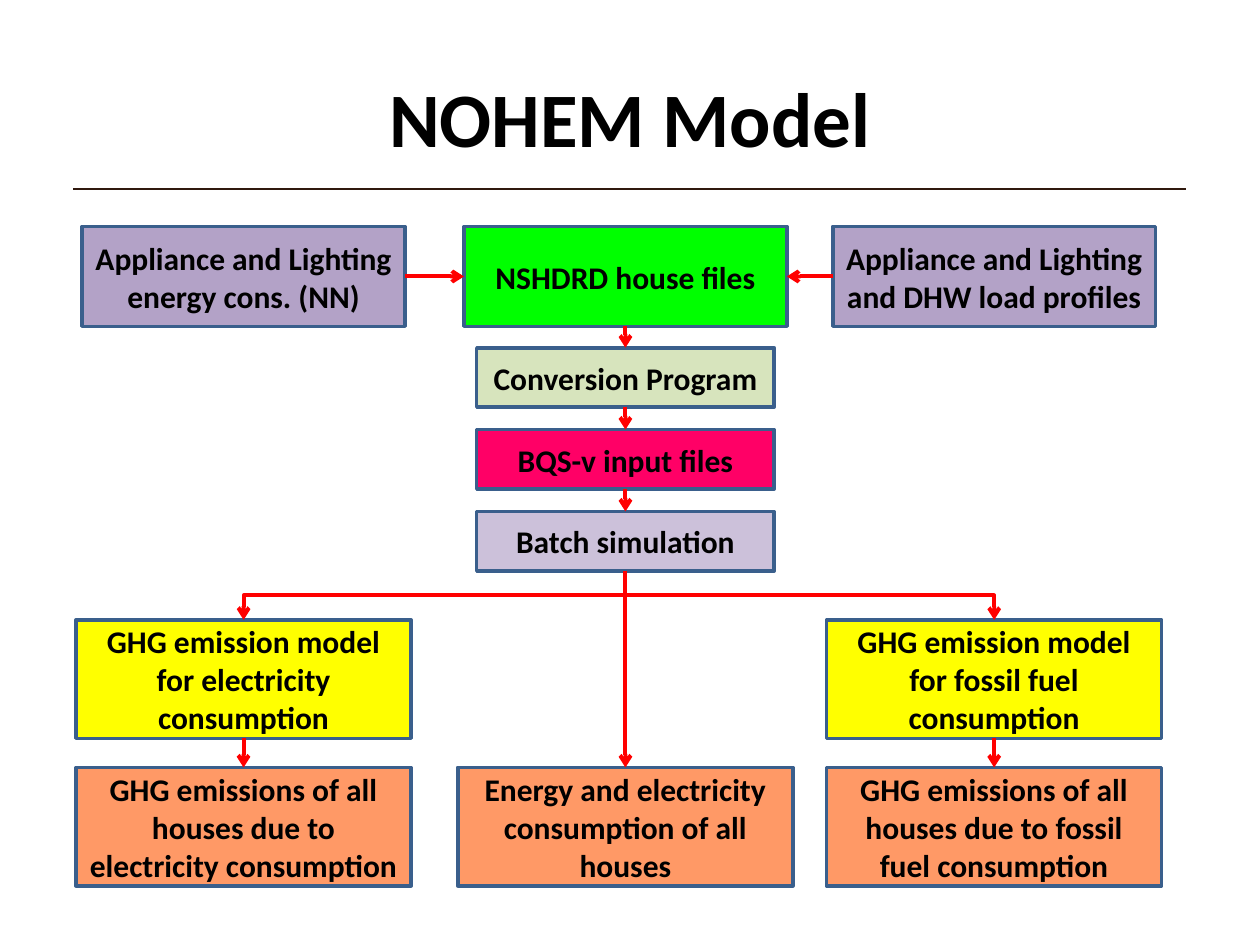
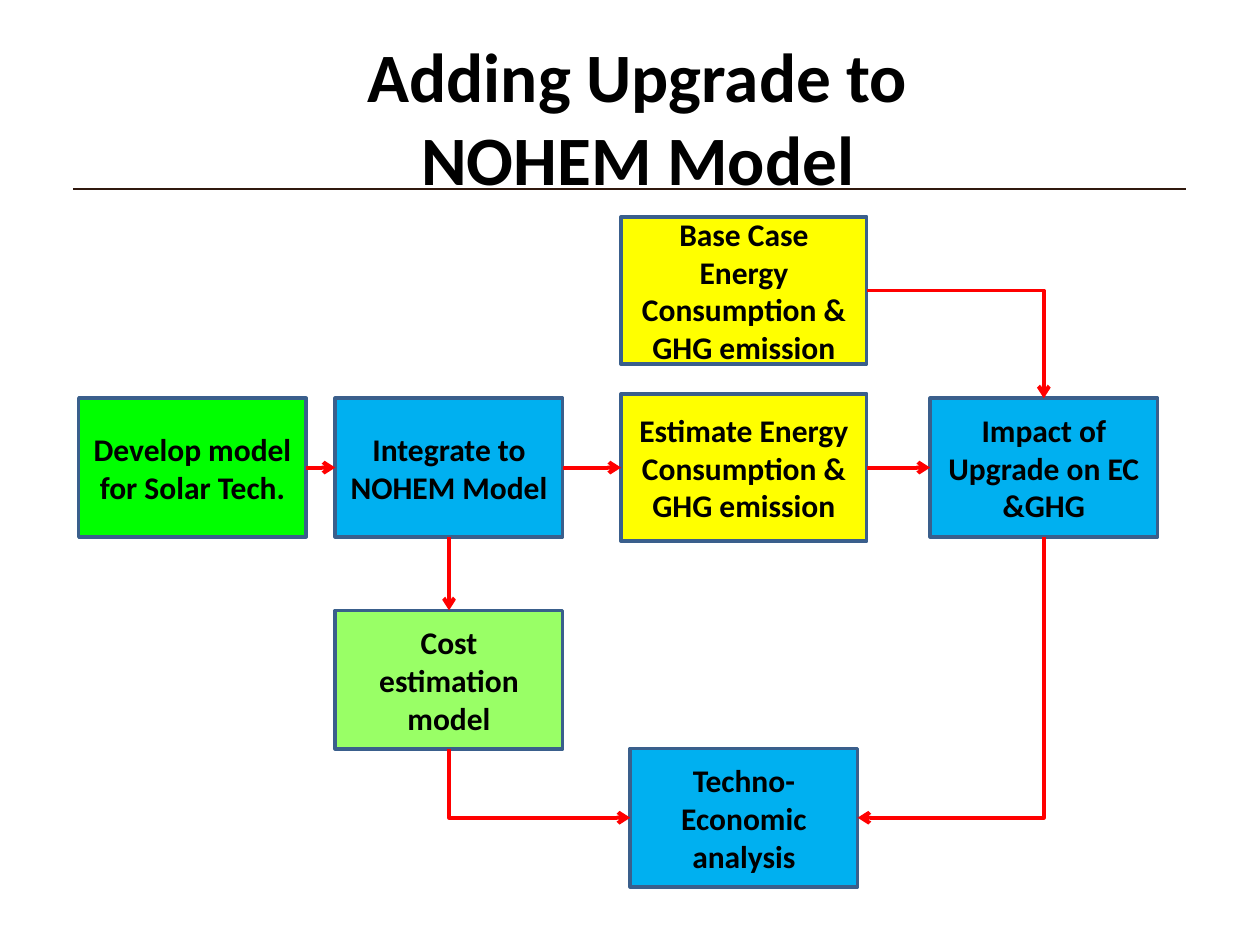
from itertools import pairwise

from lxml import etree
from pptx import Presentation
from pptx.dml.color import RGBColor
from pptx.enum.shapes import MSO_CONNECTOR, MSO_SHAPE
from pptx.enum.text import MSO_ANCHOR, MSO_AUTO_SIZE, PP_ALIGN
from pptx.oxml.ns import qn
from pptx.util import Pt

STRAIGHT, ELBOW = MSO_CONNECTOR.STRAIGHT, MSO_CONNECTOR.ELBOW
RECTANGLE = MSO_SHAPE.RECTANGLE
MIDDLE, CENTER, NO_FIT = MSO_ANCHOR.MIDDLE, PP_ALIGN.CENTER, MSO_AUTO_SIZE.NONE
TOP, LEFT, BOTTOM, RIGHT = range(4)

BLACK, RED, RULE, BORDER = "000000", "FF0000", "30190E", "3A5F8C"
GREEN, LIGHT_GREEN, PALE_GREEN = "00FF00", "99FF66", "D7E4BD"
PURPLE, LILAC, PINK = "B3A2C7", "CCC1DA", "FF0066"
YELLOW, ORANGE, BLUE = "FFFF00", "FF9966", "00B0F0"


def color(hex_value):
    return RGBColor.from_string(hex_value)


def apply(target, values):
    for name, value in values.items():
        setattr(target, name, value)


def format_text(frame, size):
    apply(frame, {"word_wrap": True, "auto_size": NO_FIT, "vertical_anchor": MIDDLE})
    for paragraph in frame.paragraphs:
        paragraph.alignment = CENTER
        for run in paragraph.runs:
            apply(run.font, {"name": "Calibri", "size": Pt(size), "bold": True})
            run.font.color.rgb = color(BLACK)


def add_step(slide, text, fill, center_x, center_y, width, height):
    step = slide.shapes.add_shape(
        RECTANGLE, Pt(center_x - width / 2), Pt(center_y - height / 2), Pt(width), Pt(height))
    step.shadow.inherit = False
    step.fill.solid()
    step.fill.fore_color.rgb = color(fill)
    step.line.color.rgb = color(BORDER)
    step.line.width = Pt(2)
    step.text_frame.text = text
    format_text(step.text_frame, 18)
    return step


def add_line(slide, kind, ends, hex_value, weight):
    line = slide.shapes.add_connector(kind, *[Pt(value) for value in ends])
    line.line.color.rgb = color(hex_value)
    line.line.width = Pt(weight)
    etree.SubElement(line._element.spPr, qn("a:effectLst"))
    return line


def add_arrow(slide, start, start_side, end, end_side, kind=STRAIGHT):
    arrow = add_line(slide, kind, (0, 0, 0, 0), RED, 2.25)
    arrow.begin_connect(start, start_side)
    arrow.end_connect(end, end_side)
    outline = arrow._element.spPr.find(qn("a:ln"))
    etree.SubElement(outline, qn("a:tailEnd"), type="arrow")
    return arrow


def add_elbow(slide, start, start_side, end, end_side):
    arrow = add_arrow(slide, start, start_side, end, end_side, ELBOW)
    run_x, run_y = arrow.end_x - arrow.begin_x, arrow.end_y - arrow.begin_y
    middle_x = (arrow.begin_x + arrow.end_x) // 2
    middle_y = (arrow.begin_y + arrow.end_y) // 2
    properties = arrow._element.spPr
    if end_side != TOP or start_side != BOTTOM:
        properties.find(qn("a:prstGeom")).set("prst", "bentConnector2")
    if start_side == BOTTOM:
        frame = properties.find(qn("a:xfrm"))
        for flip in ("flipH", "flipV"):
            frame.attrib.pop(flip, None)
        length, breadth = abs(run_y), abs(run_x)
        apply(arrow, {"left": middle_x - length // 2, "top": middle_y - breadth // 2,
                      "width": length, "height": breadth})
        frame.set("rot", str((90 if run_x < 0 else 270) * 60000))
        if run_x > 0:
            frame.set("flipH", "1")


def add_titled_slide(deck, title, size):
    slide = deck.slides.add_slide(deck.slide_layouts[5])
    heading = slide.shapes.title
    apply(heading, {"left": Pt(36), "top": Pt(21.6), "width": Pt(648), "height": Pt(90)})
    heading.text_frame.text = title
    format_text(heading.text_frame, size)
    add_line(slide, STRAIGHT, (42, 108, 678, 108), RULE, 0.75)
    return slide


def draw_model_flow(slide, left, top):
    columns = [left + offset for offset in (95.7, 313.9, 524.6)]
    inputs = [
        add_step(slide, text, fill, x, top + 28.5, 184.5, 57)
        for x, (text, fill) in zip(columns, [
            ("Appliance and Lighting energy cons. (NN)", PURPLE),
            ("NSHDRD house files", GREEN),
            ("Appliance and Lighting and DHW load profiles", PURPLE)])]
    chain = [inputs[1]] + [
        add_step(slide, text, fill, columns[1], top + 86.2 + 46.8 * row, 170, 34)
        for row, (text, fill) in enumerate([
            ("Conversion Program", PALE_GREEN),
            ("BQS-v input files", PINK),
            ("Batch simulation", LILAC)])]
    models = [
        add_step(slide, f"GHG emission model for {source} consumption", YELLOW,
                 x, top + 258.6, 191.5, 67.7)
        for x, source in zip(columns[::2], ("electricity", "fossil fuel"))]
    results = [
        add_step(slide, text, ORANGE, x, top + 342.9, 191.5, 67.7)
        for x, text in zip(columns, [
            "GHG emissions of all houses due to electricity consumption",
            "Energy and electricity consumption of all houses",
            "GHG emissions of all houses due to fossil fuel consumption"])]

    add_arrow(slide, inputs[0], RIGHT, inputs[1], LEFT)
    add_arrow(slide, inputs[2], LEFT, inputs[1], RIGHT)
    for upper, lower in pairwise(chain):
        add_arrow(slide, upper, BOTTOM, lower, TOP)
    for model, result in zip(models, results[::2]):
        add_elbow(slide, chain[-1], BOTTOM, model, TOP)
        add_arrow(slide, model, BOTTOM, result, TOP)
    add_arrow(slide, chain[-1], BOTTOM, results[1], TOP)


def draw_upgrade_flow(slide, left, top):
    columns = [left + offset for offset in (65.5, 212.1, 380.6, 552)]
    base_y, main_y, cost_y, analysis_y = [
        top + offset for offset in (42.2, 143.4, 264.6, 343.5)]
    normal, large = (130, 79.2), (140.4, 84.2)
    main = [
        add_step(slide, text, fill, x, main_y, *size)
        for x, (text, fill, size) in zip(columns, [
            ("Develop model for Solar Tech.", GREEN, normal),
            ("Integrate to NOHEM Model", BLUE, normal),
            ("Estimate Energy Consumption & GHG emission", YELLOW, large),
            ("Impact of Upgrade on EC &GHG", BLUE, normal)])]
    base_case = add_step(slide, "Base Case Energy Consumption & GHG emission", YELLOW,
                         columns[2], base_y, *large)
    cost = add_step(slide, "Cost estimation model", LIGHT_GREEN, columns[1], cost_y, *normal)
    analysis = add_step(slide, "Techno-Economic analysis", BLUE,
                        columns[2], analysis_y, *normal)

    for before, after in pairwise(main):
        add_arrow(slide, before, RIGHT, after, LEFT)
    add_arrow(slide, main[1], BOTTOM, cost, TOP)
    add_elbow(slide, base_case, RIGHT, main[3], TOP)
    add_elbow(slide, main[3], BOTTOM, analysis, RIGHT)
    add_elbow(slide, cost, BOTTOM, analysis, LEFT)


deck = Presentation()
deck.slide_width, deck.slide_height = Pt(720), Pt(540)
draw_model_flow(add_titled_slide(deck, "NOHEM Model", 44), 43.5, 129.5)
draw_upgrade_flow(add_titled_slide(deck, " Adding Upgrade to\v NOHEM Model", 39.6), 44.5, 123.8)
deck.save("out.pptx")
